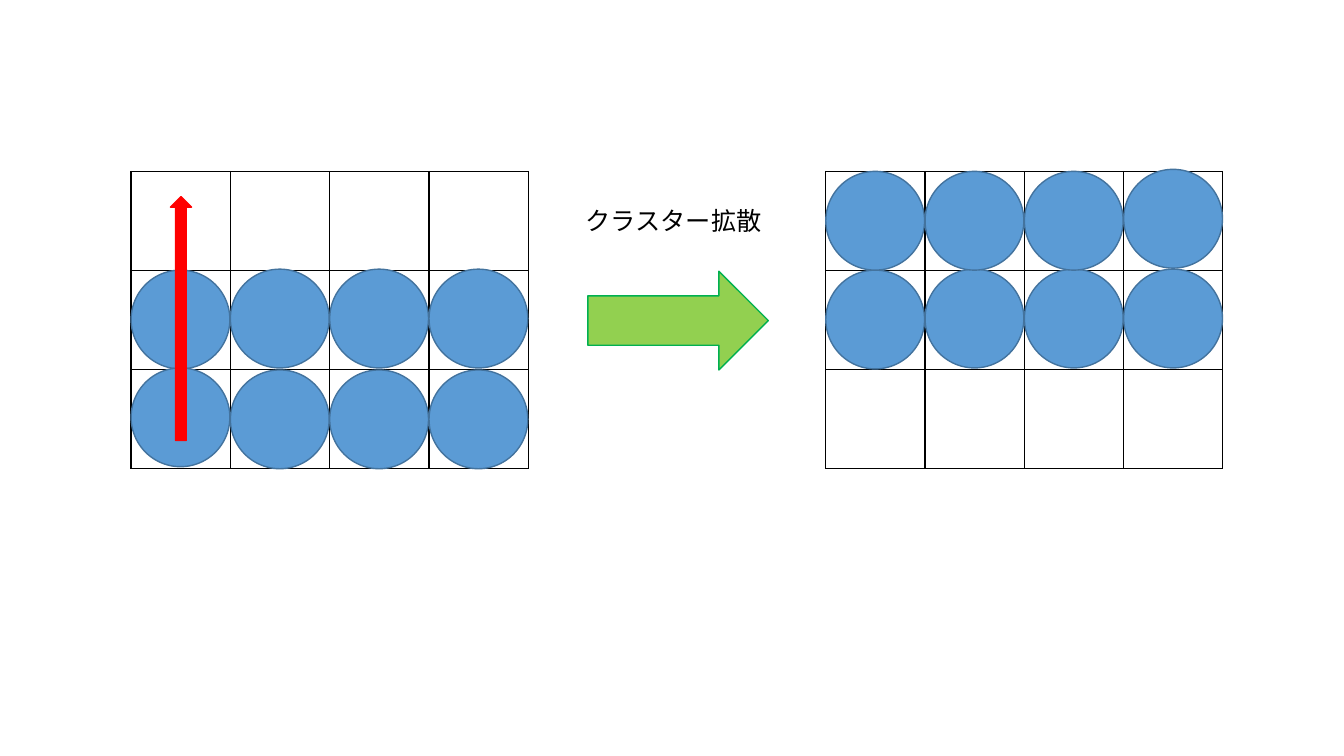
"""Build a slide that shows a cluster of circles diffusing up a grid."""
from lxml.etree import SubElement
from pptx import Presentation
from pptx.dml.color import RGBColor
from pptx.enum.shapes import MSO_SHAPE as Preset
from pptx.enum.text import MSO_AUTO_SIZE as AutoSize
from pptx.oxml.ns import qn
from pptx.util import Inches, Pt

COLORS = {
    "black": "000000", "white": "FFFFFF",
    "circle": "5B9BD5", "circle_edge": "43739E",
    "red": "FF0000", "green": "92D050", "green_edge": "00B050",
}
FONT = "Noto Sans CJK JP"
COLUMNS, ROWS = 4, 3
GRID_TOP, GRID_WIDTH, GRID_HEIGHT = 1.7, 3.94, 2.95
PITCH = GRID_WIDTH / COLUMNS
DIAMETER = 0.98


class Painter:
    """Hold the style and the current slide."""

    def __init__(self, page):
        self.page = page

    def color(self, name):
        return RGBColor.from_string(COLORS[name])

    def shape(self, preset, left, top, width, height, fill, edge):
        shape = self.page.shapes.add_shape(
            preset, Inches(left), Inches(top), Inches(width), Inches(height))
        shape.shadow.inherit = False
        shape.fill.solid()
        shape.fill.fore_color.rgb = self.color(fill)
        shape.line.color.rgb = self.color(edge)
        shape.line.width = Pt(1)

    def grid(self, left):
        frame = self.page.shapes.add_table(
            ROWS, COLUMNS, Inches(left), Inches(GRID_TOP),
            Inches(GRID_WIDTH), Inches(GRID_HEIGHT))
        table = frame.table
        table.first_row = table.horz_banding = False
        for cell in table.iter_cells():
            self.borders(cell)
            cell.fill.solid()
            cell.fill.fore_color.rgb = self.color("white")

    def borders(self, cell):
        properties = cell._tc.get_or_add_tcPr()
        for side in ("a:lnL", "a:lnR", "a:lnT", "a:lnB"):
            line = SubElement(properties, qn(side), w=str(Pt(1)))
            fill = SubElement(line, qn("a:solidFill"))
            SubElement(fill, qn("a:srgbClr"), val=COLORS["black"])

    def circles(self, left, row_tops):
        for tops in row_tops:
            for column, top in enumerate(tops):
                self.shape(Preset.OVAL, left + column * PITCH, top,
                           DIAMETER, DIAMETER, "circle", "circle_edge")

    def label(self, text, left, top, width, height):
        box = self.page.shapes.add_textbox(
            Inches(left), Inches(top), Inches(width), Inches(height))
        frame = box.text_frame
        frame.word_wrap = True
        frame.auto_size = AutoSize.SHAPE_TO_FIT_TEXT
        frame.text = text
        span = frame.paragraphs[0].runs[0]
        span.font.name = FONT
        span.font.size = Pt(18)
        span.font.color.rgb = self.color("black")
        SubElement(span.font._element, qn("a:ea"), typeface=FONT)


deck = Presentation()
deck.slide_width, deck.slide_height = Inches(13.33), Inches(7.5)
painter = Painter(deck.slides.add_slide(deck.slide_layouts[6]))

middle_tops = [2.68, 2.67, 2.67, 2.67]
clusters = [
    (1.3, [middle_tops, [3.65, 3.67, 3.67, 3.67]]),
    (8.19, [middle_tops, [1.7, 1.7, 1.7, 1.68]]),
]
for grid_left, row_tops in clusters:
    painter.grid(grid_left)
    painter.circles(grid_left, row_tops)

painter.shape(Preset.UP_ARROW, 1.69, 1.95, 0.21, 2.42, "red", "red")
painter.shape(Preset.RIGHT_ARROW, 5.83, 2.69, 1.79, 0.98, "green", "green_edge")
painter.label("クラスター拡散", 5.71, 1.99, 2.04, 0.4)

deck.save("out.pptx")
